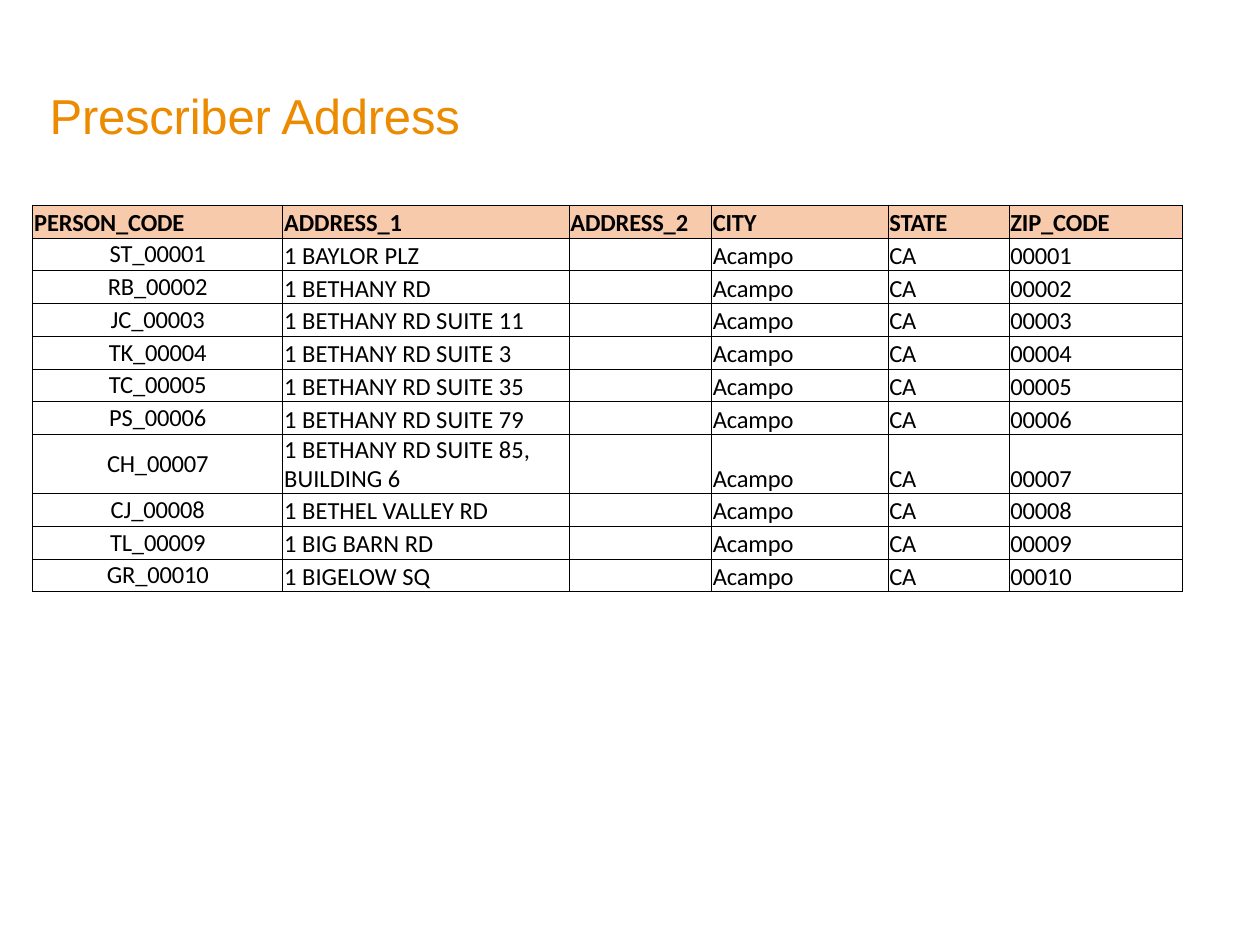
from pptx import Presentation
from pptx.dml.color import RGBColor
from pptx.enum.text import MSO_ANCHOR as ANCHOR, PP_ALIGN as ALIGN
from pptx.oxml import parse_xml
from pptx.oxml.ns import nsdecls
from pptx.util import Cm, Pt

COLORS = {"title": "EC8A00", "text": "000000", "header": "F8CAAC", "border": "000000"}
HEADERS = ["PERSON_CODE", "ADDRESS_1", "ADDRESS_2", "CITY", "STATE", "ZIP_CODE"]
PRESCRIBERS = [
    ("ST", "1 BAYLOR PLZ"),
    ("RB", "1 BETHANY RD"),
    ("JC", "1 BETHANY RD SUITE 11"),
    ("TK", "1 BETHANY RD SUITE 3"),
    ("TC", "1 BETHANY RD SUITE 35"),
    ("PS", "1 BETHANY RD SUITE 79"),
    ("CH", "1 BETHANY RD SUITE 85,\nBUILDING 6"),
    ("CJ", "1 BETHEL VALLEY RD"),
    ("TL", "1 BIG BARN RD"),
    ("GR", "1 BIGELOW SQ"),
]
COL_WIDTHS = [5.04, 5.77, 2.87, 3.56, 2.44, 3.5]
SPACING = [-10, 0, 0, -10, -20, -10]
ROW_HEIGHT, TALL_ROW_HEIGHT = 0.66, 1.19


def rgb(name):
    """Return the named colour."""
    return RGBColor.from_string(COLORS[name])


def set_font(p, name, size, color, bold=False, spacing=0):
    """Format a paragraph and the letter spacing of its runs."""
    p.font.name, p.font.size, p.font.bold = name, Pt(size), bold
    p.font.color.rgb = rgb(color)
    for r in p.runs:
        r.font._element.set("spc", str(spacing))
    if not p.runs:
        p._p.get_or_add_endParaRPr().set("sz", str(size * 100))


def set_borders(cell):
    """Draw a thin line on every side of a cell."""
    tcPr = cell._tc.get_or_add_tcPr()
    for i, side in enumerate(("lnL", "lnR", "lnT", "lnB")):
        tcPr.insert(i, parse_xml(
            f'<a:{side} {nsdecls("a")} w="{Pt(0.5)}"><a:solidFill>'
            f'<a:srgbClr val="{COLORS["border"]}"/></a:solidFill></a:{side}>'))


def fill_cell(cell, text, col, header):
    """Write and format one table cell."""
    is_code = col == 0 and not header
    cell.margin_left = cell.margin_right = cell.margin_top = cell.margin_bottom = 0
    cell.vertical_anchor = ANCHOR.MIDDLE if is_code else ANCHOR.BOTTOM
    cell.text = text
    for p in cell.text_frame.paragraphs:
        set_font(p, "Calibri", 14, "text", header, -10 if header else SPACING[col])
        if is_code:
            p.alignment = ALIGN.CENTER
        else:
            p.line_spacing = Pt(16.6)
            p._p.get_or_add_pPr().set("marL", str(Cm(0.03)))
    if header:
        cell.fill.solid()
        cell.fill.fore_color.rgb = rgb("header")
    else:
        cell.fill.background()
    set_borders(cell)


def add_title(s, text):
    """Place and format the title placeholder."""
    sp = s.shapes.title
    sp.left, sp.top, sp.width, sp.height = Cm(0.97), Cm(1.14), Cm(12.78), Cm(2.24)
    tf = sp.text_frame
    tf.margin_left = tf.margin_right = tf.margin_bottom = 0
    tf.margin_top = Cm(0.58)
    tf.vertical_anchor = ANCHOR.TOP
    tf.text = text
    p = tf.paragraphs[0]
    p.alignment = ALIGN.LEFT
    p._p.get_or_add_pPr().set("marL", str(Cm(0.03)))
    set_font(p, "Arial", 28, "title", spacing=-10)


def add_address_table(s):
    """Add the table of prescriber addresses."""
    rows = [HEADERS] + [
        [f"{initials}_{n:05}", address, "", "Acampo", "CA", f"{n:05}"]
        for n, (initials, address) in enumerate(PRESCRIBERS, 1)]
    heights = [TALL_ROW_HEIGHT if "\n" in row[1] else ROW_HEIGHT for row in rows]
    table = s.shapes.add_table(
        len(rows), len(HEADERS), Cm(0.66), Cm(4.14),
        Cm(sum(COL_WIDTHS)), Cm(sum(heights))).table
    table.first_row = table.horz_banding = False
    for column, width in zip(table.columns, COL_WIDTHS):
        column.width = Cm(width)
    for i, (row, height) in enumerate(zip(rows, heights)):
        table.rows[i].height = Cm(height)
        for j, text in enumerate(row):
            fill_cell(table.cell(i, j), text, j, i == 0)


def main():
    """Build the slide and save it."""
    prs = Presentation()
    prs.slide_width, prs.slide_height = Cm(25.4), Cm(19.05)
    s = prs.slides.add_slide(prs.slide_layouts[5])
    add_title(s, "Prescriber Address")
    add_address_table(s)
    prs.save("out.pptx")


if __name__ == "__main__":
    main()
